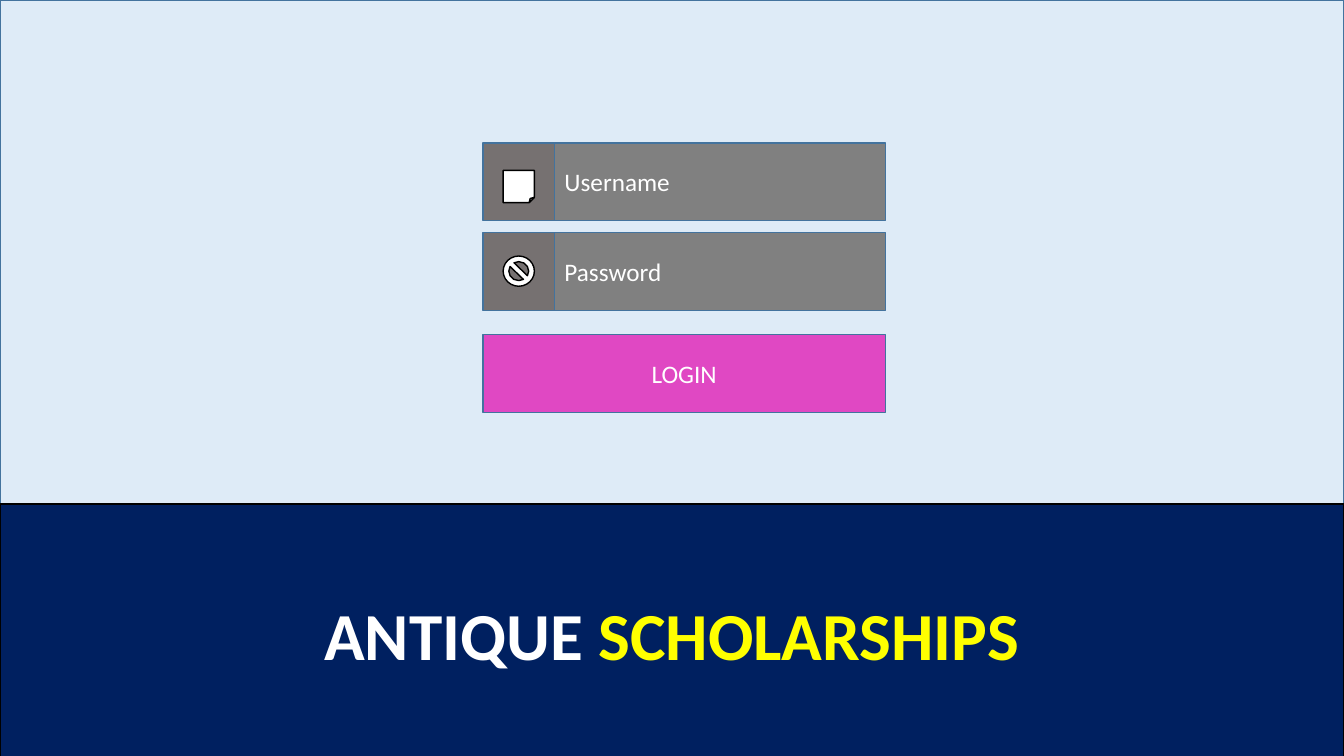
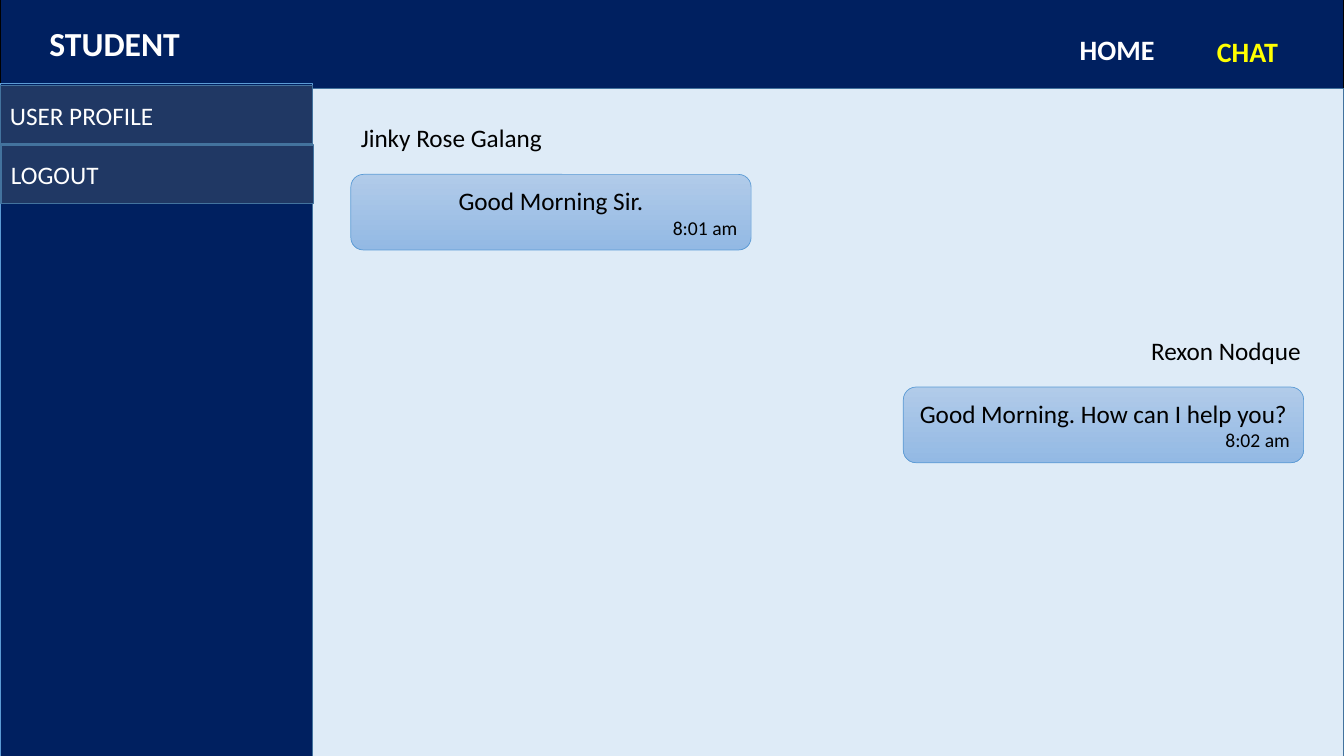
from dataclasses import dataclass
from typing import Any, Optional

from pptx import Presentation
from pptx.dml.color import RGBColor
from pptx.enum.shapes import MSO_SHAPE as Geo
from pptx.enum.text import MSO_ANCHOR as Anchor, MSO_AUTO_SIZE as Fit, PP_ALIGN as Align
from pptx.slide import Slide
from pptx.util import Inches, Pt

HEX = {
    "navy": "002060", "pale": "DEEBF7", "edge": "43739E", "sky": "5B9BD5",
    "menu": "203864", "field": "808080", "icon": "767171", "pink": "E048C3",
    "light": "B1CBE9", "deep": "93B9E4",
    "white": "FFFFFF", "black": "000000", "yellow": "FFFF00",
}
WIDE, HIGH = 13.33, 7.5
FONT = {"name": "Calibri", "size": Pt(18), "bold": False}
FRAME = {"word_wrap": True, "auto_size": Fit.NONE, "vertical_anchor": Anchor.MIDDLE}


@dataclass
class Box:
    left: float
    top: float
    width: float
    height: float

    def place(self) -> list:
        return [Inches(n) for n in (self.left, self.top, self.width, self.height)]


@dataclass
class Run:
    text: str
    color: str = "white"
    size: int = 18
    bold: bool = False


@dataclass
class Line:
    runs: list[Run]
    align: Align = Align.LEFT


@dataclass
class Chat:
    name: str
    label: Box
    bubble: Box
    text: str
    time: str
    align: Align


def tint(name: str) -> RGBColor:
    return RGBColor.from_string(HEX[name])


def apply(target: Any, values: dict) -> None:
    for key, value in values.items():
        setattr(target, key, value)


def write(shape: Any, lines: list[Line], **frame: Any) -> None:
    body = shape.text_frame
    apply(body, FRAME | frame)
    for i, line in enumerate(lines):
        para = body.add_paragraph() if i else body.paragraphs[0]
        para.alignment = line.align
        for item in line.runs:
            run = para.add_run()
            run.text = item.text
            apply(run.font, FONT | {"size": Pt(item.size), "bold": item.bold})
            run.font.color.rgb = tint(item.color)


def paint(shape: Any, fill: str, edge: str, width: float = 1) -> None:
    shape.fill.solid()
    shape.fill.fore_color.rgb = tint(fill)
    shape.line.color.rgb = tint(edge)
    shape.line.width = Pt(width)


def panel(slide: Slide, box: Box, fill: str, edge: str = "edge",
          line: Optional[Line] = None, geo: Geo = Geo.RECTANGLE) -> None:
    shape = slide.shapes.add_shape(geo, *box.place())
    shape.shadow.inherit = False
    paint(shape, fill, edge)
    if line:
        write(shape, [line])


def label(slide: Slide, box: Box, line: Line) -> None:
    shape = slide.shapes.add_textbox(*box.place())
    write(shape, [line], auto_size=Fit.SHAPE_TO_FIT_TEXT, vertical_anchor=Anchor.TOP)


def banner(slide: Slide, box: Box, line: Line, inset: float = 0.1) -> None:
    """Turn the title placeholder into a navy band above what is drawn so far."""
    title = slide.shapes.title
    title.element.getparent().append(title.element)
    apply(title, dict(zip(("left", "top", "width", "height"), box.place())))
    paint(title, "navy", "black")
    write(title, [line], margin_left=Inches(inset))


def message(slide: Slide, chat: Chat) -> None:
    label(slide, chat.label, Line([Run(chat.name, "black")], chat.align))
    shape = slide.shapes.add_shape(Geo.ROUNDED_RECTANGLE, *chat.bubble.place())
    shape.shadow.inherit = False
    paint(shape, "light", "sky", 0.5)
    shape.fill.gradient()
    shape.fill.gradient_angle = 270
    for stop, name in zip(shape.fill.gradient_stops, ("light", "deep")):
        stop.color.rgb = tint(name)
    write(shape, [Line([Run(chat.text, "black")], Align.CENTER),
                  Line([Run(chat.time, "black", 14)], Align.RIGHT)])


def login(slide: Slide) -> None:
    panel(slide, Box(0, 0, WIDE, 7.53), "pale")
    banner(slide, Box(0, 5, WIDE, 2.57),
           Line([Run("ANTIQUE ", "white", 48, True),
                 Run("SCHOLARSHIPS", "yellow", 48, True)], Align.CENTER))

    # Input fields, each with an icon cell on its left
    left, cell, width, high = 4.79, 0.71, 3.99, 0.77
    fields = [("Username", Geo.FOLDED_CORNER, Box(4.99, 1.69, 0.31, 0.32)),
              ("Password", Geo.NO_SYMBOL, Box(4.99, 2.54, 0.31, 0.3))]
    for i, (text, geo, spot) in enumerate(fields):
        top = 1.42 + i * 0.89
        panel(slide, Box(left + cell, top, width - cell, high), "field",
              line=Line([Run(text)]))
        panel(slide, Box(left, top, cell, high), "icon")
        panel(slide, spot, "white", "black", geo=geo)

    # Button
    panel(slide, Box(left, 3.32, width, high), "pink",
          line=Line([Run("LOGIN")], Align.CENTER))


def inbox(slide: Slide) -> None:
    side = 3.1
    banner(slide, Box(0, -0.04, WIDE, 0.94),
           Line([Run("STUDENT", "white", 24, True)]), inset=0.49)

    # Side menu and main area
    panel(slide, Box(0, 0.83, side, 6.7), "navy", "sky")
    panel(slide, Box(0, 0.85, side, 0.58), "menu", line=Line([Run("USER PROFILE")]))
    panel(slide, Box(side, 0.88, WIDE - side, 6.65), "pale")
    panel(slide, Box(0.01, 1.44, side, 0.58), "menu", line=Line([Run("LOGOUT")]))

    # Top links
    for text, color, left, top in (("HOME", "white", 10.61, 0.27),
                                   ("CHAT", "yellow", 11.97, 0.29)):
        label(slide, Box(left, top, 1.2, 0.44), Line([Run(text, color, 20, True)]))

    # Messages
    chats = [
        Chat("Jinky Rose Galang", Box(3.48, 1.16, 5.64, 0.4), Box(3.48, 1.73, 3.97, 0.75),
             "Good Morning Sir.", "8:01 am", Align.LEFT),
        Chat("Rexon Nodque", Box(9.12, 3.28, 3.88, 0.4), Box(8.96, 3.84, 3.97, 0.75),
             "Good Morning. How can I help you?", "8:02 am", Align.RIGHT),
    ]
    for chat in chats:
        message(slide, chat)


def main() -> None:
    deck = Presentation()
    deck.slide_width, deck.slide_height = Inches(WIDE), Inches(HIGH)
    for draw in (login, inbox):
        draw(deck.slides.add_slide(deck.slide_layouts[5]))
    deck.save("out.pptx")


if __name__ == "__main__":
    main()
